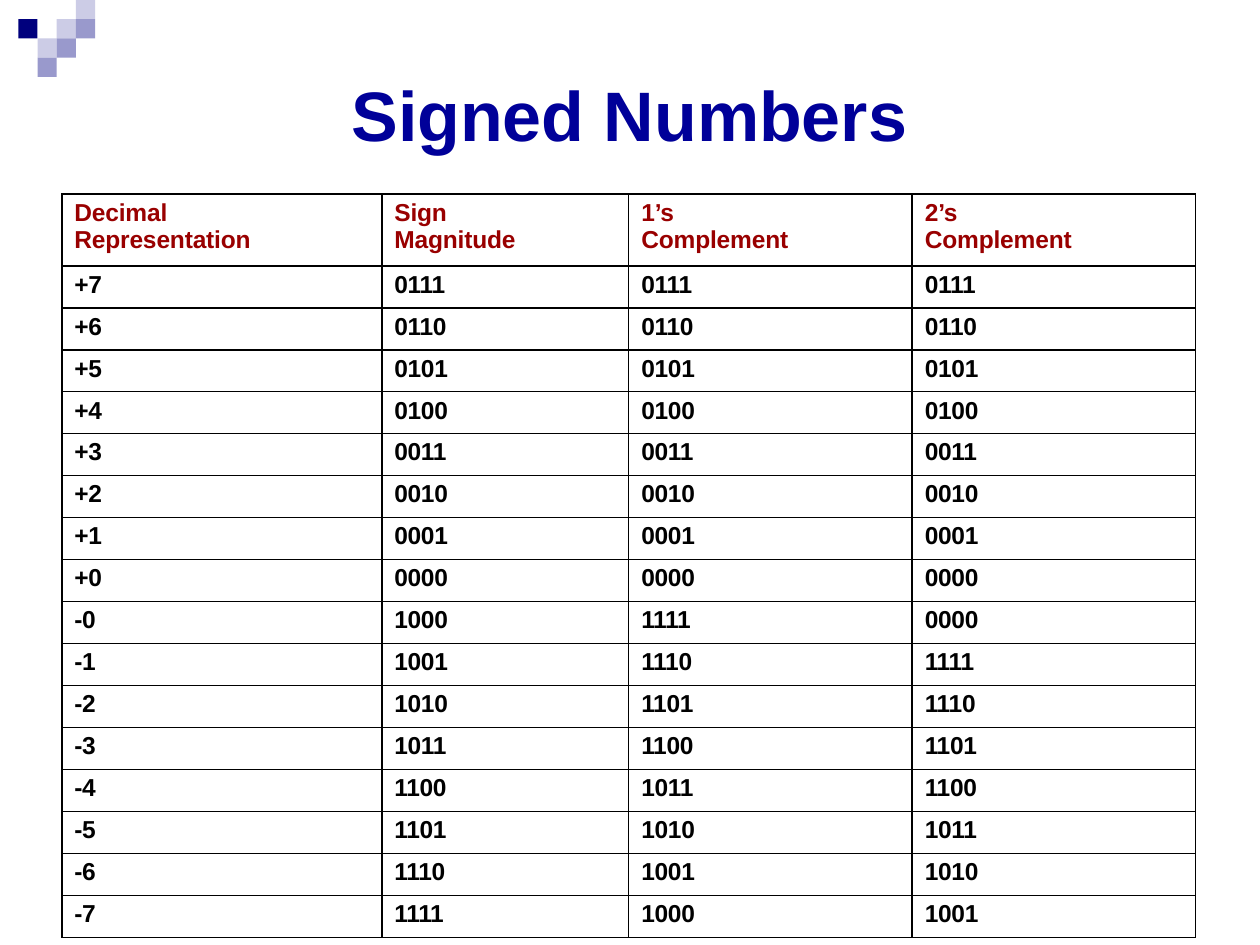
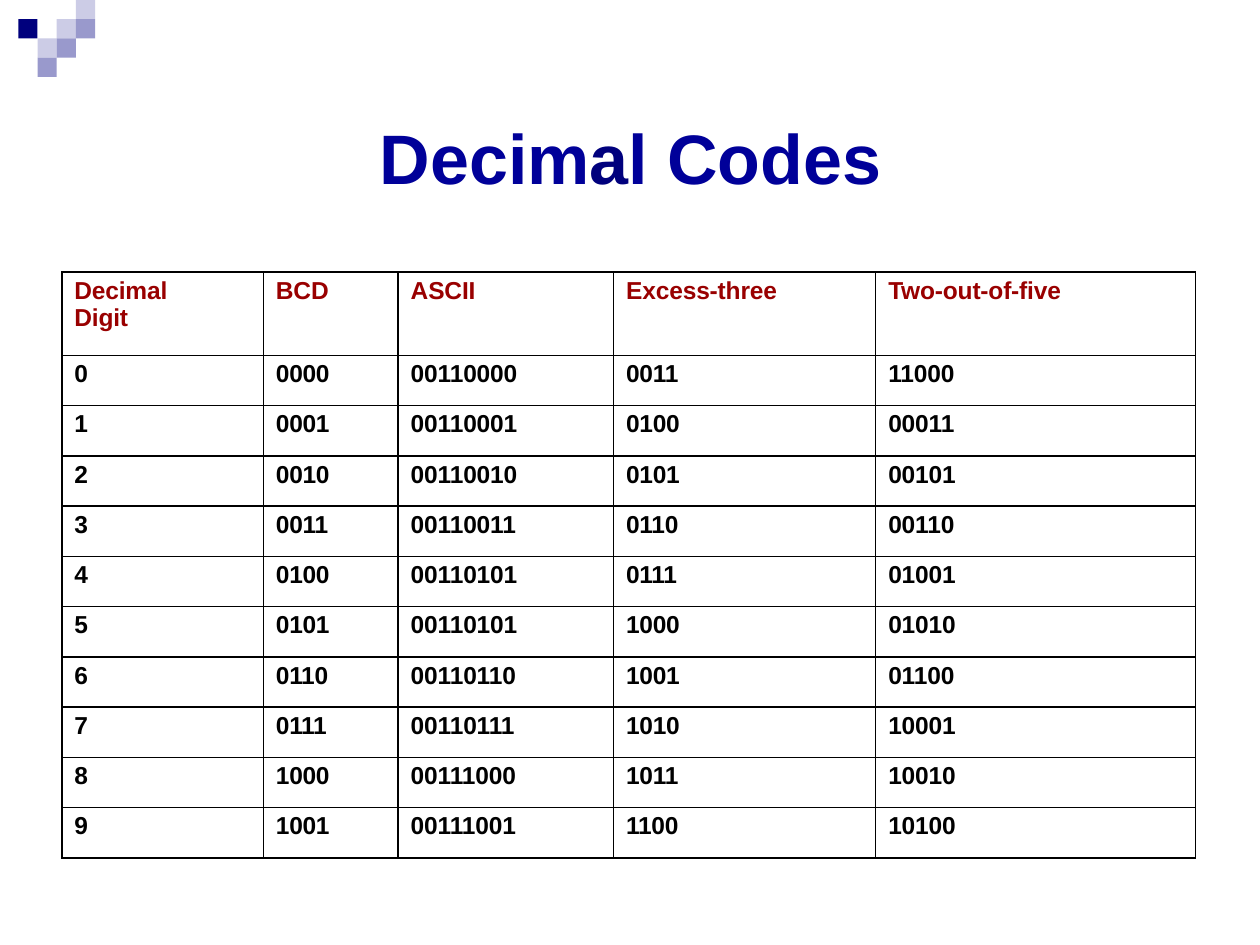
from dataclasses import dataclass

from lxml.etree import SubElement
from pptx import Presentation
from pptx.dml.color import RGBColor
from pptx.enum.shapes import MSO_SHAPE as Preset
from pptx.enum.text import MSO_ANCHOR as Anchor, MSO_AUTO_SIZE as AutoSize, PP_ALIGN as Align
from pptx.oxml.ns import qn
from pptx.util import Inches, Pt

COLUMNS, ROWS = 100, 75  # square grid over the whole slide
UNIT = Inches(10) // COLUMNS
TITLE_ONLY = 5


@dataclass(frozen=True)
class Theme:
    font: str = "Arial"
    title_size: int = 40
    table_size: int = 14
    title: str = "000099"
    navy: str = "00007D"
    heading: str = "990000"
    ink: str = "000000"
    mid: str = "9999CC"
    light: str = "CCCCE6"


THEME = Theme()


@dataclass(frozen=True)
class Box:
    left: float
    top: float
    width: float
    height: float

    def emu(self):
        return [grid(n) for n in (self.left, self.top, self.width, self.height)]


def grid(units):
    return round(units * UNIT)


def assign(target, values):
    for name, value in values.items():
        setattr(target, name, value)


def add_run(paragraph, text, size, color, tracking=0):
    """Tracking is in hundredths of a point."""
    run = paragraph.add_run()
    run.text = text
    assign(run.font, {"name": THEME.font, "size": Pt(size), "bold": True})
    run.font.color.rgb = RGBColor.from_string(color)
    if tracking:
        run.font._element.set("spc", str(tracking))


def add_checker(slide, box):
    """Draw the corner squares and hand them to the layout all slides share."""
    cells = {
        THEME.light: [(3, 0), (2, 1), (1, 2)],
        THEME.mid: [(3, 1), (2, 2), (1, 3)],
        THEME.navy: [(0, 1)],
    }
    side = box.width / 4
    squares = [(color, cell) for color, group in cells.items() for cell in group]
    for shape_id, (color, (column, row)) in enumerate(squares, start=100):
        place = Box(box.left + column * side, box.top + row * side, side, side)
        square = slide.shapes.add_shape(Preset.RECTANGLE, *place.emu())
        square.shadow.inherit = False
        square.fill.solid()
        square.fill.fore_color.rgb = RGBColor.from_string(color)
        square.line.fill.background()
        square.element.nvSpPr.cNvPr.id = shape_id
        slide.slide_layout.shapes.element.append(square.element)


def add_title(slide, box, parts):
    title = slide.shapes.title
    assign(title, dict(zip(("left", "top", "width", "height"), box.emu())))
    assign(title.text_frame, {
        "margin_left": 0, "margin_right": 0, "margin_top": grid(0.1), "margin_bottom": 0,
        "word_wrap": False, "auto_size": AutoSize.NONE, "vertical_anchor": Anchor.MIDDLE,
    })
    paragraph = title.text_frame.paragraphs[0]
    assign(paragraph, {"alignment": Align.CENTER, "space_before": Pt(0.9)})
    for text, color in parts:
        add_run(paragraph, text, THEME.title_size, color)


def add_borders(cell):
    properties = cell._tc.get_or_add_tcPr()
    for position, side in enumerate(("lnL", "lnR", "lnT", "lnB")):
        line = SubElement(properties, qn(f"a:{side}"), w=str(Pt(1)))
        fill = SubElement(line, qn("a:solidFill"))
        SubElement(fill, qn("a:srgbClr"), val=THEME.ink)
        properties.insert(position, line)


def fill_cell(cell, text, color, right_margin, tracking):
    assign(cell, {
        "margin_left": grid(1), "margin_right": right_margin,
        "margin_top": grid(0.4), "margin_bottom": 0, "vertical_anchor": Anchor.TOP,
    })
    cell.fill.background()
    add_borders(cell)
    paragraph = cell.text_frame.paragraphs[0]
    paragraph.space_before = Pt(3.1)
    add_run(paragraph, text, THEME.table_size, color, tracking)


def add_code_table(slide, box, widths, heading_height, headings, records):
    table = slide.shapes.add_table(len(records) + 1, len(headings), *box.emu()).table
    assign(table, {"first_row": False, "horz_banding": False})
    for column, width in zip(table.columns, widths):
        column.width = grid(width)
    record_height = (box.height - heading_height) / len(records)
    for index, row in enumerate(table.rows):
        row.height = grid(record_height if index else heading_height)
    for column, heading in enumerate(headings):
        # a third of the column stays free, so two-word headings take two lines
        fill_cell(table.cell(0, column), heading, THEME.heading,
                  round(table.columns[column].width * 0.33), -10)
    for row, record in enumerate(records, start=1):
        for column, code in enumerate(record):
            fill_cell(table.cell(row, column), code, THEME.ink, 0,
                      -10 if len(code) > 4 else -20)


SIGNED_NUMBERS = [line.split() for line in """
+7 0111 0111 0111
+6 0110 0110 0110
+5 0101 0101 0101
+4 0100 0100 0100
+3 0011 0011 0011
+2 0010 0010 0010
+1 0001 0001 0001
+0 0000 0000 0000
-0 1000 1111 0000
-1 1001 1110 1111
-2 1010 1101 1110
-3 1011 1100 1101
-4 1100 1011 1100
-5 1101 1010 1011
-6 1110 1001 1010
-7 1111 1000 1001
""".strip().splitlines()]

DECIMAL_CODES = [line.split() for line in """
0 0000 00110000 0011 11000
1 0001 00110001 0100 00011
2 0010 00110010 0101 00101
3 0011 00110011 0110 00110
4 0100 00110101 0111 01001
5 0101 00110101 1000 01010
6 0110 00110110 1001 01100
7 0111 00110111 1010 10001
8 1000 00111000 1011 10010
9 1001 00111001 1100 10100
""".strip().splitlines()]


def add_signed_numbers(slide):
    add_title(slide, Box(27.8, 5.5, 44.3, 6.9), [("Signed Numbers", THEME.title)])
    add_code_table(
        slide, Box(4.9, 15.4, 90, 59), (25.4, 19.6, 22.5, 22.5), 5.7,
        ("Decimal Representation", "Sign Magnitude", "1’s Complement", "2’s Complement"),
        SIGNED_NUMBERS)


def add_decimal_codes(slide):
    add_title(slide, Box(30, 8.9, 40.1, 6.9), [
        ("Decim", THEME.title), ("a", THEME.navy), ("l Codes", THEME.title)])
    add_code_table(
        slide, Box(4.9, 21.6, 90, 46.5), (16, 10.7, 17.1, 20.8, 25.4), 6.6,
        ("Decimal Digit", "BCD", "ASCII", "Excess-three", "Two-out-of-five"),
        DECIMAL_CODES)


def main():
    deck = Presentation()
    assign(deck, {"slide_width": UNIT * COLUMNS, "slide_height": UNIT * ROWS})
    layout = deck.slide_layouts[TITLE_ONLY]
    signed, decimal = (deck.slides.add_slide(layout) for _ in range(2))
    add_checker(signed, Box(1.45, 0, 6.1, 6.1))
    add_signed_numbers(signed)
    add_decimal_codes(decimal)
    deck.save("out.pptx")


if __name__ == "__main__":
    main()
